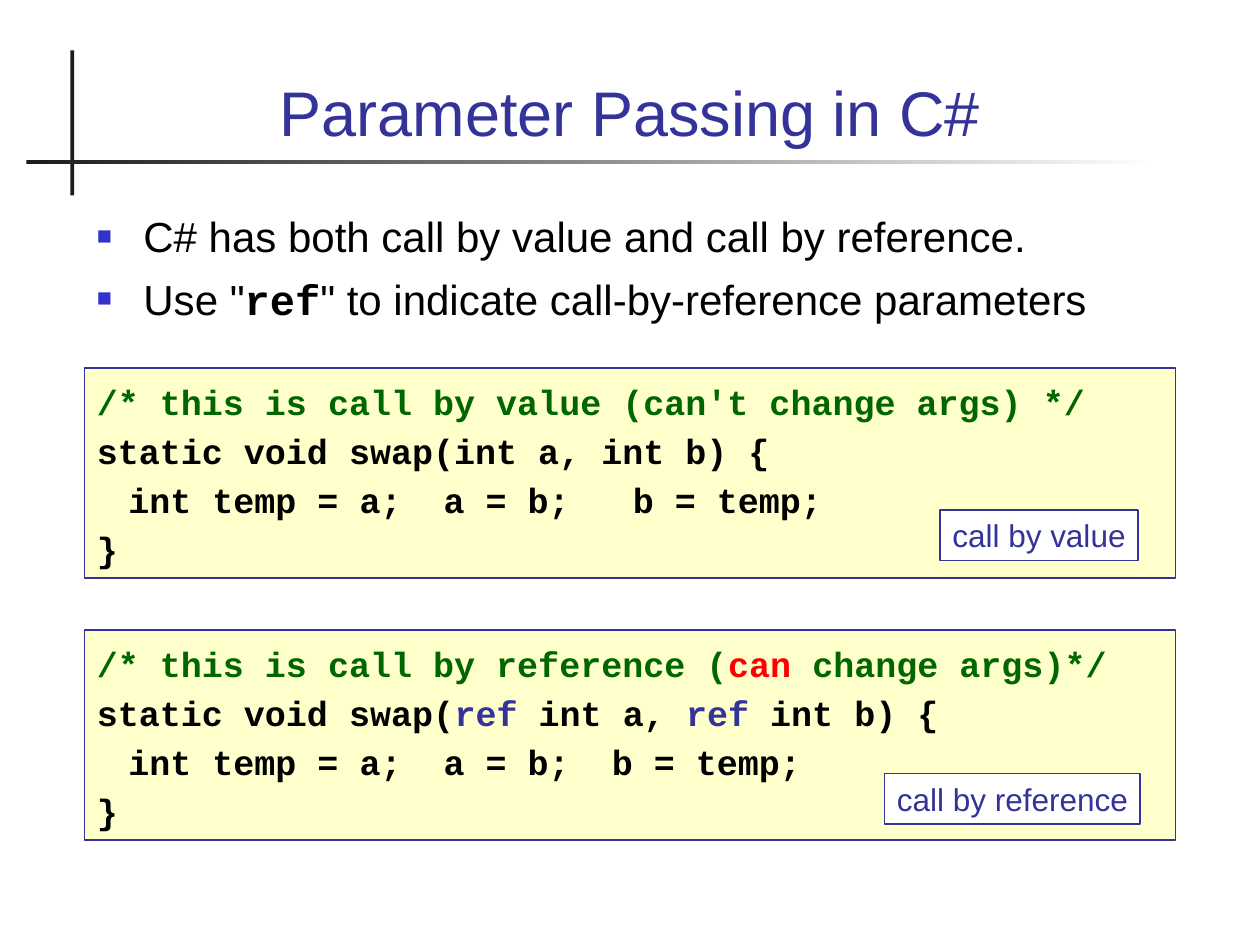
from lxml.etree import SubElement
from pptx import Presentation
from pptx.dml.color import RGBColor
from pptx.enum.shapes import MSO_SHAPE
from pptx.enum.text import MSO_ANCHOR, MSO_AUTO_SIZE, PP_ALIGN
from pptx.oxml.ns import qn
from pptx.util import Inches, Pt

THEME = {
    "accent": "333399", "bullet": "3333CC", "text": "000000", "comment": "006600",
    "alert": "FF0000", "code_fill": "FFFFCC", "paper": "FFFFFF", "rule": "1C1C1C",
    "sans": "Arial", "mono": "Courier New",
    "title_size": 36, "body_size": 24, "code_size": 20, "label_size": 18,
}

# Content: each paragraph is a list of (text, style) spans
TITLE = "Parameter Passing in C#"
BULLETS = [
    [("C# has both call by value and call by reference.", "body")],
    [('Use "', "body"), ("ref", "body_code"),
     ('" to indicate call-by-reference parameters', "body")],
]
EXAMPLES = [
    {"top": 2.92, "label": "call by value", "label_at": (7.46, 4.05, 1.57, 0.4),
     "code": [
         [("/* this is call by value (can't change args) */", "comment")],
         [("static void swap(int a, int b) {", "code")],
         [("\tint temp = a;  a = b;   b = temp;", "code")],
         [("}", "code")],
     ]},
    {"top": 5, "label": "call by reference", "label_at": (7.02, 6.14, 2.03, 0.4),
     "code": [
         [("/* this is call by reference (", "comment"), ("can", "alert"),
          (" change args)*/", "comment")],
         [("static void swap(", "code"), ("ref", "keyword"), (" int a, ", "code"),
          ("ref", "keyword"), (" int b) {", "code")],
         [("\tint temp = a;  a = b;  b = temp;", "code")],
         [("}", "code")],
     ]},
]

# Style: font, size, colour, bold
STYLES = {
    "title": ("sans", "title_size", "accent", False),
    "body": ("sans", "body_size", "text", False),
    "body_code": ("mono", "body_size", "text", True),
    "label": ("sans", "label_size", "accent", False),
    "code": ("mono", "code_size", "text", True),
    "comment": ("mono", "code_size", "comment", True),
    "alert": ("mono", "code_size", "alert", True),
    "keyword": ("mono", "code_size", "accent", True),
}
LEFT, WIDTH = 0.67, 8.66


def color(name):
    return RGBColor.from_string(THEME[name])


def style_span(span, style):
    face, size, tint, bold = STYLES[style]
    span.font.name = THEME[face]
    span.font.size = Pt(THEME[size])
    span.font.color.rgb = color(tint)
    span.font.bold = bold


def add_rect(page, at, fill, outline=None):
    box = page.shapes.add_shape(MSO_SHAPE.RECTANGLE, *map(Inches, at))
    box.shadow.inherit = False
    box.fill.solid()
    box.fill.fore_color.rgb = color(fill)
    if outline:
        box.line.color.rgb = color(outline)
        box.line.width = Pt(1)
    else:
        box.line.fill.background()
    return box


def indent(para, left, first):
    props = para._p.get_or_add_pPr()
    props.set("marL", str(Inches(left)))
    props.set("indent", str(Inches(first)))
    return props


def add_bullet(props):
    bullet_color = SubElement(props, qn("a:buClr"))
    SubElement(bullet_color, qn("a:srgbClr"), val=THEME["bullet"])
    SubElement(props, qn("a:buSzPct"), val="60000")
    SubElement(props, qn("a:buFont"), typeface=THEME["sans"])
    SubElement(props, qn("a:buChar"), char="■")


def write(box, paragraphs, gap=0, hang=None, bullets=False, top_inset=0.05):
    frame = box.text_frame
    frame.word_wrap = True
    frame.vertical_anchor = MSO_ANCHOR.TOP
    frame.margin_top = Inches(top_inset)
    for number, spans in enumerate(paragraphs):
        para = frame.add_paragraph() if number else frame.paragraphs[0]
        para.alignment = PP_ALIGN.LEFT
        if hang:
            props = indent(para, *hang)
            if bullets:
                add_bullet(props)
        if number:
            para.space_before = Pt(gap)
        for text, style in spans:
            span = para.add_run()
            span.text = text
            style_span(span, style)


def main():
    deck = Presentation()
    deck.slide_width, deck.slide_height = Inches(10), Inches(7.5)
    page = deck.slides.add_slide(deck.slide_layouts[5])

    # Crossed rules beside the title
    add_rect(page, (0.56, 0.4, 0.03, 1.15), "rule")
    fading_rule = add_rect(page, (0.21, 1.27, 8.99, 0.03), "rule")
    fading_rule.fill.gradient()
    fading_rule.fill.gradient_angle = 0
    for stop, tint in zip(fading_rule.fill.gradient_stops, ("rule", "paper")):
        stop.color.rgb = color(tint)

    # Title
    title = page.shapes.title
    title.left, title.top, title.width, title.height = map(Inches, (LEFT, 0.28, WIDTH, 0.95))
    title.text_frame.text = TITLE
    title.text_frame.auto_size = MSO_AUTO_SIZE.NONE
    title.text_frame.vertical_anchor = MSO_ANCHOR.BOTTOM
    title.text_frame.paragraphs[0].alignment = PP_ALIGN.CENTER
    style_span(title.text_frame.paragraphs[0].runs[0], "title")

    # Bullets
    body = page.shapes.add_textbox(*map(Inches, (LEFT, 1.58, WIDTH, 1.17)))
    write(body, BULLETS, gap=7, hang=(0.37, -0.37), bullets=True, top_inset=0.09)

    # Code examples with their labels
    for example in EXAMPLES:
        panel = add_rect(page, (LEFT, example["top"], WIDTH, 1.67), "code_fill", "accent")
        write(panel, example["code"], gap=4, hang=(0.25, -0.25), top_inset=0.1)
        label = add_rect(page, example["label_at"], "paper", "accent")
        write(label, [[(example["label"], "label")]])
        label.text_frame.word_wrap = False

    deck.save("out.pptx")


if __name__ == "__main__":
    main()
